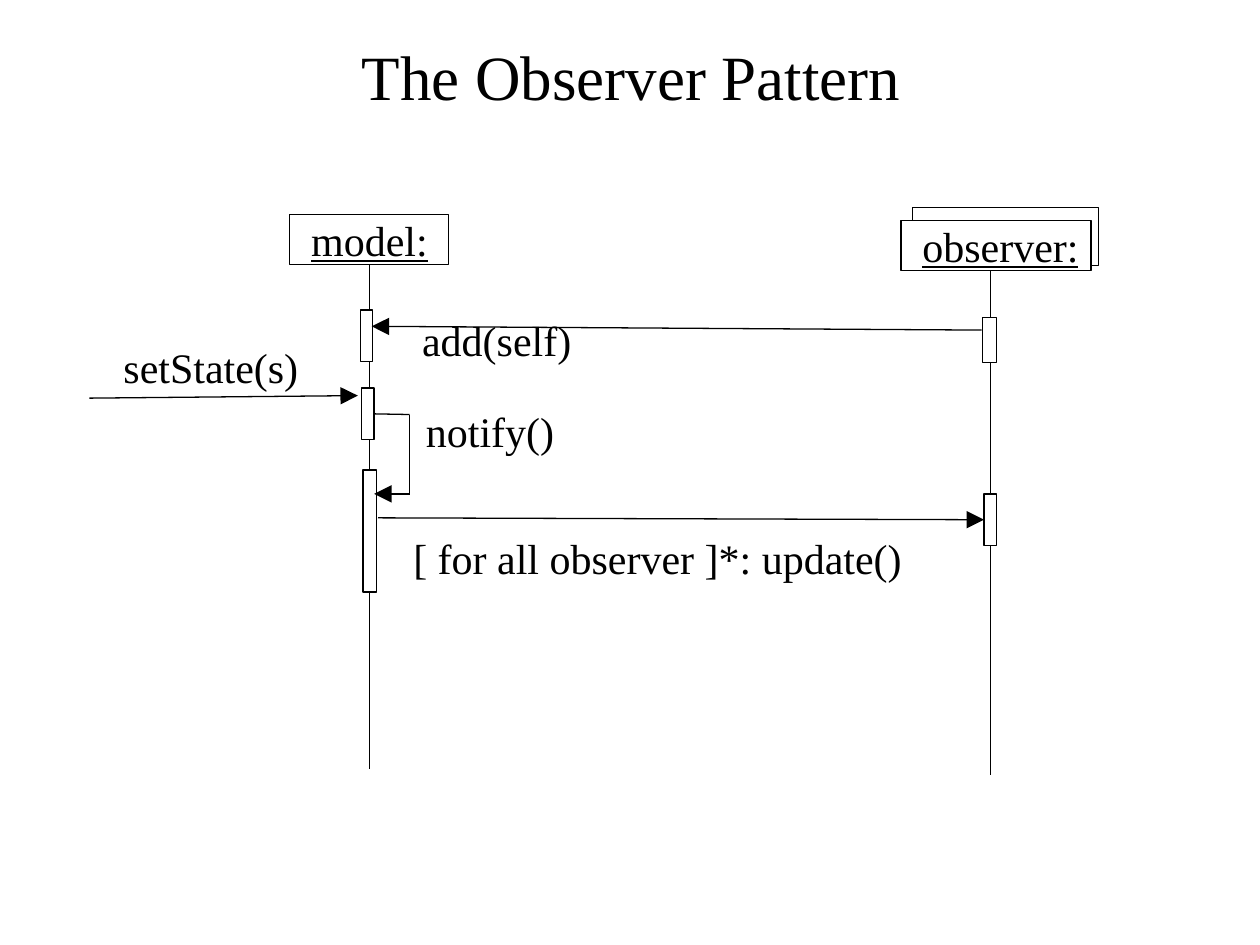
from dataclasses import dataclass

from lxml import etree
from pptx import Presentation
from pptx.dml.color import RGBColor
from pptx.enum.shapes import MSO_CONNECTOR as Connector, MSO_SHAPE as Shape
from pptx.enum.text import MSO_ANCHOR as Anchor, PP_ALIGN as Align
from pptx.oxml.ns import qn
from pptx.util import Inches, Pt


@dataclass(frozen=True)
class Theme:
    font: str = "Times New Roman"
    ink: RGBColor = RGBColor(0, 0, 0)
    paper: RGBColor = RGBColor(255, 255, 255)
    title_size: int = 36
    label_size: int = 24
    line_width: float = 0.75


@dataclass(frozen=True)
class Box:
    left: float
    top: float
    width: float
    height: float

    def inner(self, left, top, width, height):
        return Box(self.left + left, self.top + top, width, height)

    def point(self, x, y):
        return self.left + x, self.top + y

    def lengths(self):
        return [Inches(v) for v in (self.left, self.top, self.width, self.height)]


THEME = Theme()
TOP, LEFT, BOTTOM, RIGHT = range(4)


def write(frame, text, size, underline=False, align=Align.LEFT):
    para = frame.paragraphs[0]
    para.alignment = align
    span = para.add_run()
    span.text = text
    span.font.name = THEME.font
    span.font.size = Pt(size)
    span.font.color.rgb = THEME.ink
    span.font.underline = underline


def set_margins(frame, left=0, top=0, right=0, bottom=0):
    frame.margin_left, frame.margin_top = Inches(left), Inches(top)
    frame.margin_right, frame.margin_bottom = Inches(right), Inches(bottom)


def add_rectangle(page, box):
    shape = page.shapes.add_shape(Shape.RECTANGLE, *box.lengths())
    shape.shadow.inherit = False
    shape.fill.solid()
    shape.fill.fore_color.rgb = THEME.paper
    shape.line.color.rgb = THEME.ink
    shape.line.width = Pt(THEME.line_width)
    return shape


def add_line(page, start, end, arrow=False, source=None, target=None):
    line = page.shapes.add_connector(
        Connector.STRAIGHT, *[Inches(v) for v in (*start, *end)])
    line.line.color.rgb = THEME.ink
    line.line.width = Pt(THEME.line_width)
    if arrow:
        etree.SubElement(line.line._get_or_add_ln(), qn("a:tailEnd"),
                         type="triangle", w="lg", len="lg")
    etree.SubElement(line._element.spPr, qn("a:effectLst"))
    if source:
        line.begin_connect(*source)
    if target:
        line.end_connect(*target)


def add_label(page, box, text):
    frame = page.shapes.add_textbox(*box.lengths()).text_frame
    frame.word_wrap = False
    set_margins(frame)
    write(frame, text, THEME.label_size)


def place_title(page, box, text):
    title = page.shapes.title
    title.left, title.top, title.width, title.height = box.lengths()
    frame = title.text_frame
    frame.vertical_anchor = Anchor.MIDDLE
    set_margins(frame, 0.1, 0.05, 0.1, 0.05)
    write(frame, text, THEME.title_size, align=Align.CENTER)


def place_participant(page, box, name, axis, bars, stacked=False):
    if stacked:
        add_rectangle(page, box.inner(0.09, -0.1, 1.48, 0.46))
    head = add_rectangle(page, box)
    frame = head.text_frame
    frame.word_wrap = False
    frame.vertical_anchor = Anchor.MIDDLE
    set_margins(frame, left=0.17)
    write(frame, name, THEME.label_size, underline=True)

    centred = abs(axis - box.width / 2) < 0.01
    add_line(page, box.point(axis, box.height), box.point(axis, box.height + 4),
             source=(head, BOTTOM) if centred else None)
    return [add_rectangle(page, box.inner(*bar)) for bar in bars]


def place_messages(page, box, set_state_bar, update_bar):
    loop_top, loop_bottom, loop_right = 0.79, 1.42, 2.54
    add_line(page, box.point(7.08, 0.12), box.point(2.24, 0.09), arrow=True)
    add_line(page, box.point(0, 0.66), box.point(2.13, 0.64), arrow=True)
    add_line(page, box.point(2.26, loop_top), box.point(loop_right, loop_top),
             source=(set_state_bar, RIGHT))
    add_line(page, box.point(loop_right, loop_top), box.point(loop_right, loop_bottom))
    add_line(page, box.point(loop_right, loop_bottom), box.point(2.26, loop_bottom),
             arrow=True)
    add_line(page, box.point(2.29, 1.61), box.point(7.1, 1.62), arrow=True,
             target=(update_bar, LEFT))

    labels = [
        ("add(self)", 2.64, 0, 1.19),
        ("setState(s)", 0.27, 0.21, 1.39),
        ("notify()", 2.67, 0.72, 1.02),
        ("[ for all observer ]*: update()", 2.57, 1.73, 3.88),
    ]
    for text, left, top, width in labels:
        add_label(page, box.inner(left, top, width, 0.4), text)


def main():
    deck = Presentation()
    deck.slide_width, deck.slide_height = Inches(10), Inches(7.5)
    page = deck.slides.add_slide(deck.slide_layouts[5])

    place_title(page, Box(0.23, 0.24, 9.56, 0.72), "The Observer Pattern")
    model_bars = place_participant(
        page, Box(2.3, 1.7, 1.26, 0.4), "model:", axis=0.63,
        bars=[(0.56, 0.76, 0.1, 0.41), (0.57, 1.38, 0.1, 0.41),
              (0.58, 2.03, 0.11, 0.97)])
    observer_bars = place_participant(
        page, Box(7.15, 1.75, 1.51, 0.4), "observer:", axis=0.71,
        bars=[(0.65, 0.77, 0.11, 0.36), (0.66, 2.17, 0.1, 0.41)], stacked=True)
    place_messages(page, Box(0.71, 2.5, 7.1, 2.13), model_bars[1], observer_bars[1])

    deck.save("out.pptx")


if __name__ == "__main__":
    main()
